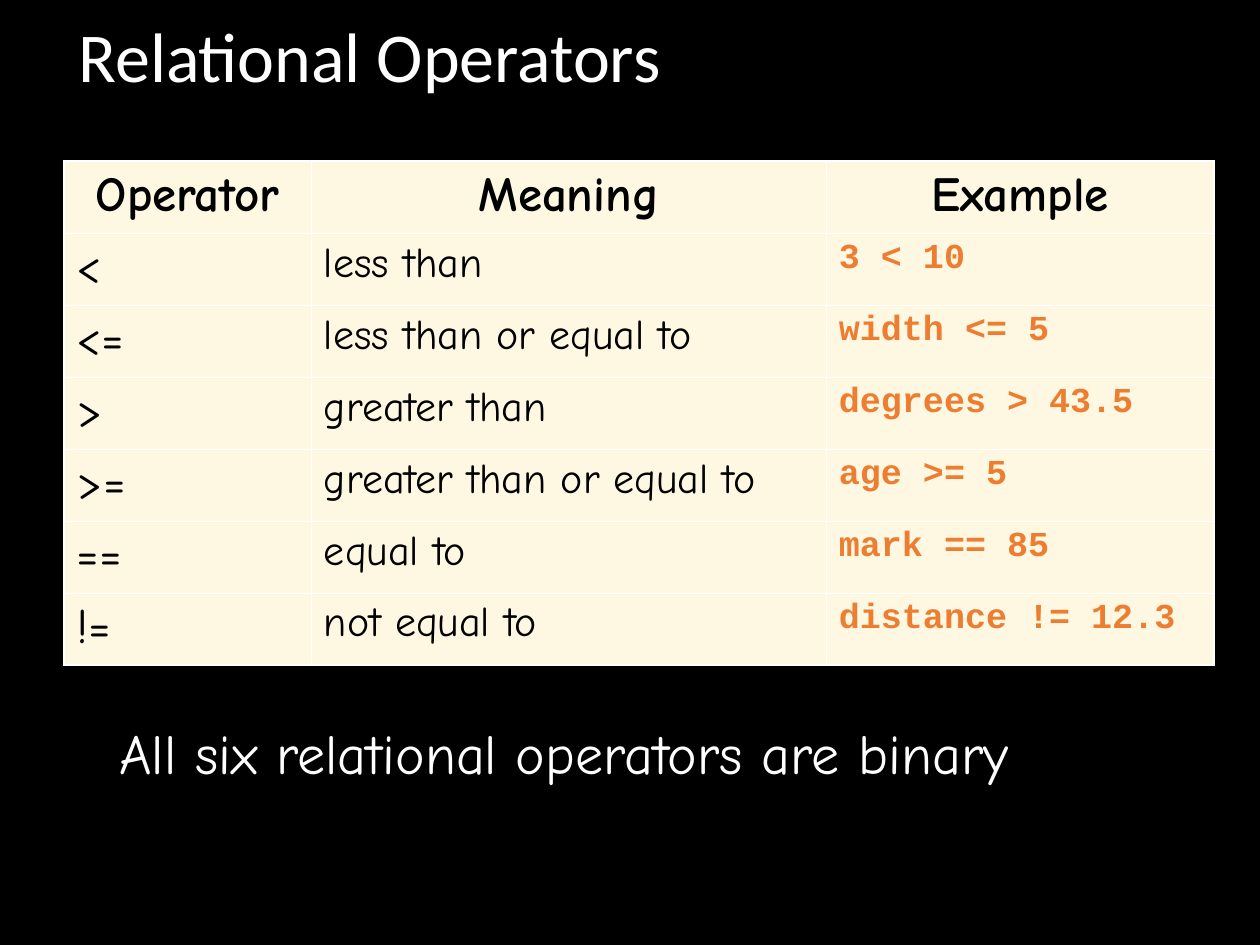
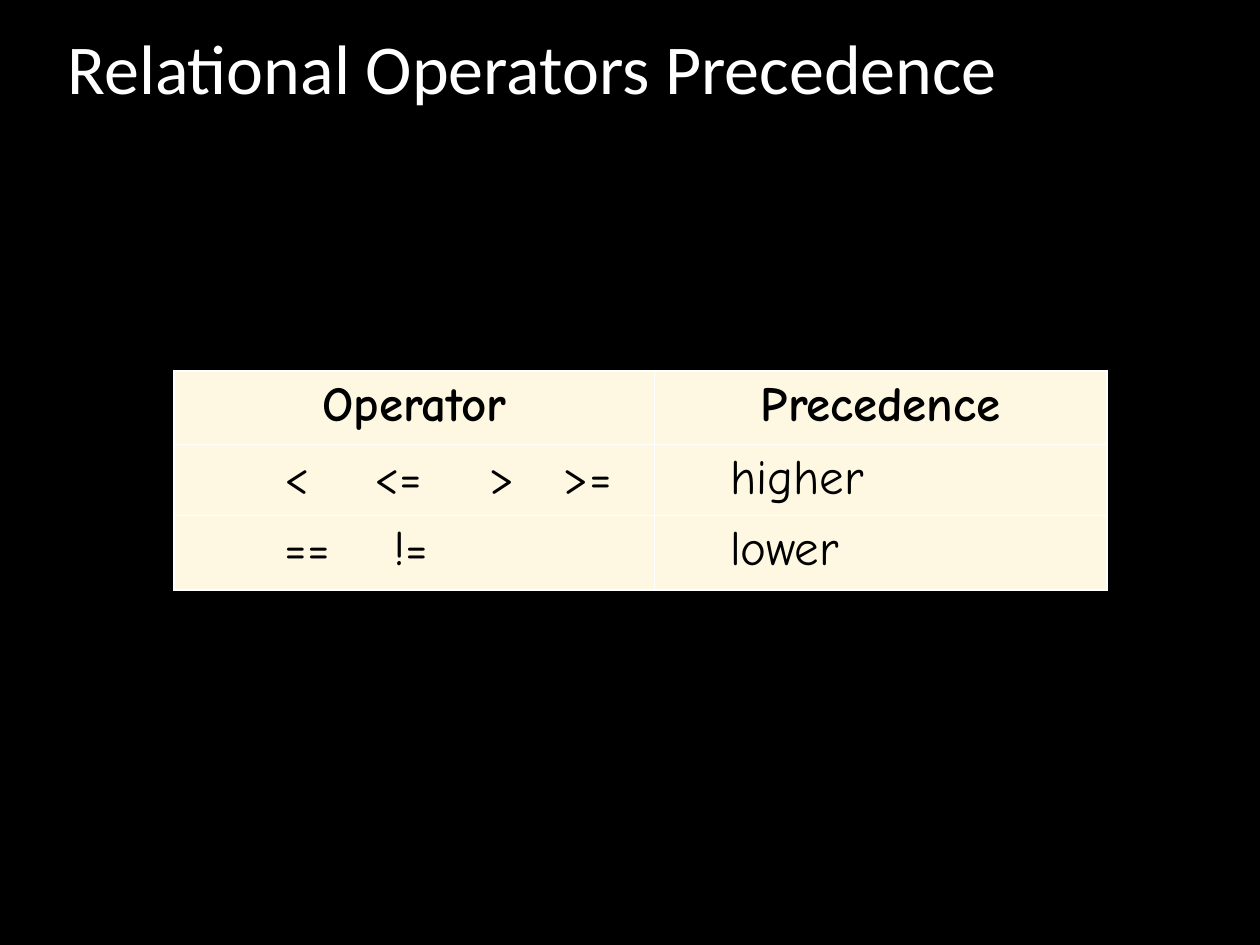
"""Build two slides on relational operators and their precedence."""
from typing import NamedTuple

from lxml.etree import SubElement
from pptx import Presentation
from pptx.dml.color import RGBColor
from pptx.enum.text import MSO_ANCHOR, MSO_AUTO_SIZE, PP_ALIGN
from pptx.oxml.ns import qn
from pptx.util import Emu, Pt

COLORS = {
    "background": "000000",
    "light": "FFFFFF",
    "dark": "000000",
    "cell": "FEF8E2",
    "code": "ED7D31",
}
OUTER, INNER = Pt(1.08), Pt(0.45)
INSET = 13


class Box(NamedTuple):
    x: int
    y: int
    w: int
    h: int


class Style(NamedTuple):
    size: int
    color: str = "dark"
    face: str = "Comic Neue"
    bold: bool = False
    align: PP_ALIGN = PP_ALIGN.LEFT
    indent: int = 0


class Grid(NamedTuple):
    x: int
    y: int
    cols: list[int]
    heights: list[int]
    styles: list[Style]
    rows: list[tuple[str, ...]]
    tabs: dict[str, list[int]]


TITLE = Style(40, "light", "Calibri")
NOTE = Style(32, "light")
HEADER = Style(28, bold=True, align=PP_ALIGN.CENTER)

OPERATORS = Grid(
    64, 161, [247, 515, 388], [72] * 7,
    [Style(28), Style(24), Style(20, "code", "Courier New", True)],
    [
        ("Operator", "Meaning", "Example"),
        ("<", "less than", "3 < 10"),
        ("<=", "less than or equal to", "width <= 5"),
        (">", "greater than", "degrees > 43.5"),
        (">=", "greater than or equal to", "age >= 5"),
        ("==", "equal to", "mark == 85"),
        ("!=", "not equal to", "distance != 12.3"),
    ],
    {},
)
PRECEDENCE = Grid(
    174, 371, [480, 453], [73, 71, 75],
    [Style(28, indent=98), Style(28, indent=63)],
    [
        ("Operator", "Precedence"),
        ("<\t<=\t>\t>=", "higher"),
        ("==\t!=", "lower"),
    ],
    {"<\t<=\t>\t>=": [90, 204, 278], "==\t!=": [109]},
)


def px(n: int) -> Emu:
    """Turn pixels into EMU."""
    return Emu(round(n * 914400 / 126))


def rgb(name: str) -> RGBColor:
    """Look up a palette colour."""
    return RGBColor.from_string(COLORS[name])


def write(tf, text: str, style: Style, tabs: list[int] | None = None):
    """Write one styled paragraph and return it."""
    p = tf.paragraphs[0]
    p.text = text
    p.alignment = style.align
    if tabs:
        tab_list = SubElement(p._p.get_or_add_pPr(), qn("a:tabLst"))
        for pos in tabs:
            SubElement(tab_list, qn("a:tab"), pos=str(px(pos)), algn="l")
    p.font.size = Pt(style.size)
    p.font.name = style.face
    p.font.bold = style.bold
    p.font.color.rgb = rgb(style.color)
    return p


def add_titled_slide(prs, text: str, box: Box):
    """Add a slide with its title moved to the box."""
    slide = prs.slides.add_slide(prs.slide_layouts[5])
    sp = slide.shapes.title
    sp.left, sp.top, sp.width, sp.height = map(px, box)
    tf = sp.text_frame
    tf.auto_size = MSO_AUTO_SIZE.NONE
    tf.vertical_anchor = MSO_ANCHOR.MIDDLE
    write(tf, text, TITLE).line_spacing = 0.9
    return slide


def add_border(cell, side: str, width: Emu) -> None:
    """Draw one light border of a cell."""
    ln = SubElement(cell._tc.get_or_add_tcPr(), qn(f"a:ln{side}"), w=str(width))
    fill = SubElement(ln, qn("a:solidFill"))
    SubElement(fill, qn("a:srgbClr"), val=COLORS["light"])


def add_grid(slide, grid: Grid) -> None:
    """Add a table with a header row and thicker outer borders."""
    n_rows, n_cols = len(grid.rows), len(grid.cols)
    size = sum(grid.cols), sum(grid.heights)
    table = slide.shapes.add_table(
        n_rows, n_cols, *map(px, (grid.x, grid.y, *size))).table
    table.first_row = table.horz_banding = False
    for col, width in zip(table.columns, grid.cols):
        col.width = px(width)
    for i, (texts, height) in enumerate(zip(grid.rows, grid.heights)):
        table.rows[i].height = px(height)
        for j, text in enumerate(texts):
            cell = table.cell(i, j)
            style = grid.styles[j] if i else HEADER
            edges = {"L": j == 0, "R": j == n_cols - 1,
                     "T": i == 0, "B": i == n_rows - 1}
            for side, outer in edges.items():
                add_border(cell, side, OUTER if outer else INNER)
            cell.fill.solid()
            cell.fill.fore_color.rgb = rgb("cell")
            cell.margin_left = px(INSET + style.indent)
            write(cell.text_frame, text, style, grid.tabs.get(text))


def add_note(slide, text: str, box: Box) -> None:
    """Add a line of text below the table."""
    tf = slide.shapes.add_textbox(*map(px, box)).text_frame
    tf.word_wrap = True
    tf.auto_size = MSO_AUTO_SIZE.SHAPE_TO_FIT_TEXT
    write(tf, text, NOTE)


def main() -> None:
    """Build and save the presentation."""
    prs = Presentation()
    prs.slide_width, prs.slide_height = px(1260), px(945)
    bg = prs.slide_master.background.fill
    bg.solid()
    bg.fore_color.rgb = rgb("background")

    s = add_titled_slide(prs, "Relational Operators", Box(66, 19, 1134, 82))
    add_grid(s, OPERATORS)
    add_note(s, "All six relational operators are binary", Box(107, 712, 1045, 81))

    s = add_titled_slide(prs, "Relational Operators Precedence", Box(55, 31, 1163, 82))
    add_grid(s, PRECEDENCE)
    prs.save("out.pptx")


if __name__ == "__main__":
    main()
